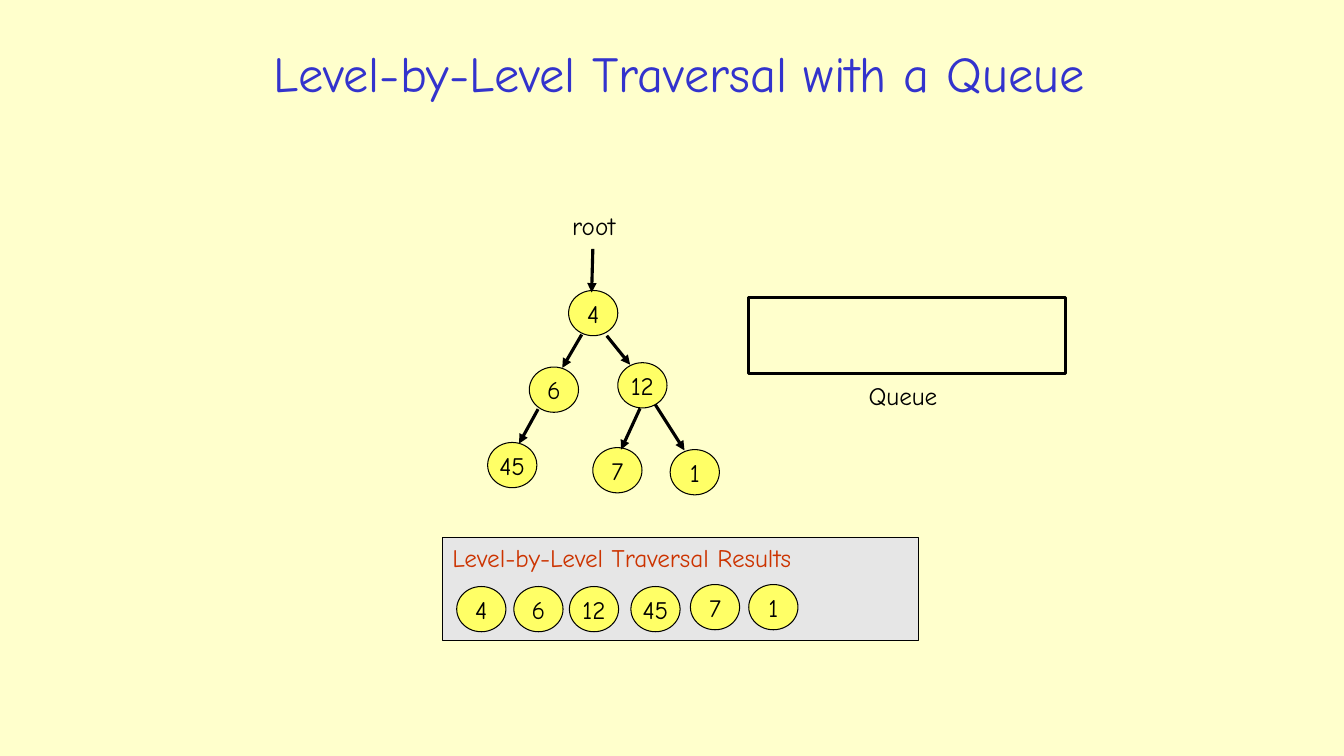
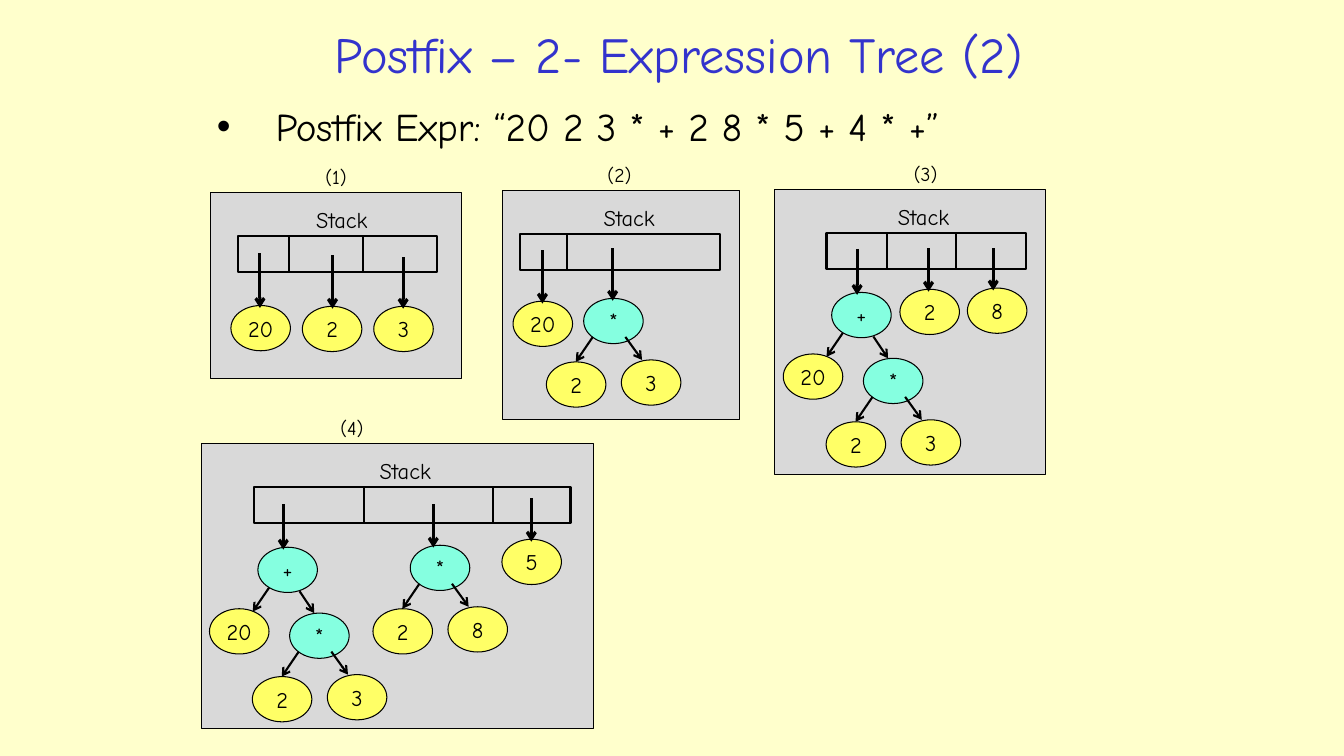
from pptx import Presentation
from pptx.dml.color import RGBColor
from pptx.enum.shapes import MSO_CONNECTOR, MSO_SHAPE
from pptx.enum.text import MSO_ANCHOR, MSO_AUTO_SIZE, PP_ALIGN
from pptx.oxml.ns import qn
from pptx.util import Cm, Pt
from lxml import etree

RECTANGLE, ELLIPSE = MSO_SHAPE.RECTANGLE, MSO_SHAPE.OVAL
STRAIGHT = MSO_CONNECTOR.STRAIGHT
TOP, MIDDLE = MSO_ANCHOR.TOP, MSO_ANCHOR.MIDDLE
LEFT, CENTER = PP_ALIGN.LEFT, PP_ALIGN.CENTER
FIXED, GROW = MSO_AUTO_SIZE.NONE, MSO_AUTO_SIZE.SHAPE_TO_FIT_TEXT
TITLE_LAYOUT, BODY_LAYOUT = 5, 1

FONT = "Comic Neue"
COLORS = {
    "background": "FFFFCC", "title": "3333CC", "ink": "000000",
    "value": "FFFF66", "operator": "85FFE0", "heading": "CC3300",
    "results": "E6E6E6", "panel": "D9D9D9",
}

# Content: all places and sizes are in centimetres
QUEUE_TITLE = "Level-by-Level Traversal with a Queue"
QUEUE_NODE = (1.24, 1.14)
TREE_NODES = [
    ("4", 14.33, 7.32), ("6", 13.34, 9.25), ("12", 15.57, 9.14),
    ("45", 12.29, 11.15), ("7", 14.94, 11.28), ("1", 16.89, 11.33),
]
TREE_ARROWS = [
    ((14.94, 6.27), (14.91, 7.37)),
    ((14.66, 8.43), (14.17, 9.27)), ((15.29, 8.46), (15.88, 9.19)),
    ((13.56, 10.31), (13.08, 11.18)),
    ((16.13, 10.29), (15.65, 11.33)), ((16.51, 10.19), (17.25, 11.35)),
]
QUEUE_LABELS = [("root", 14.17, 5.18, 1.8), ("Queue", 21.64, 9.45, 2.44)]
QUEUE_FRAME = (18.87, 7.49, 7.98, 1.93)
RESULTS_TITLE = "Level-by-Level Traversal Results"
RESULTS_BOX = (11.15, 13.54, 12.01, 2.59)
RESULTS = [
    ("4", 11.51, 14.78), ("6", 12.95, 14.78), ("12", 14.35, 14.78),
    ("45", 15.9, 14.78), ("7", 17.4, 14.73), ("1", 18.87, 14.73),
]

POSTFIX_TITLE = "Postfix – 2- Expression Tree (2)"
POSTFIX_TEXT = "Postfix Expr: “20 2 3 * + 2 8 * 5 + 4 * +”"
POSTFIX_NODE = (1.5, 1.14)
PRODUCT = ("*", "2", "3")
SUM = ("+", "20", PRODUCT)
# Each entry: expression, node place, start of the pointer to it
PANELS = [
    {"number": "(1)", "number_x": 7.95, "box": (5.31, 4.85, 6.33, 4.7),
     "label_x": 7.72, "stack": (5.99, 5.03), "dividers": [7.29, 9.14],
     "entries": [("20", (5.82, 7.7), (6.55, 6.38)),
                 ("2", (7.62, 7.72), (8.38, 6.43)),
                 ("3", (9.42, 7.72), (10.16, 6.48))]},
    {"number": "(2)", "number_x": 15.06, "box": (12.67, 4.8, 5.97, 5.77),
     "label_x": 14.96, "stack": (13.11, 5.03), "dividers": [14.3],
     "entries": [("20", (12.93, 7.59), (13.67, 6.3)),
                 (PRODUCT, (14.71, 7.52), (15.44, 6.25))]},
    {"number": "(3)", "number_x": 22.78, "box": (19.53, 4.78, 6.83, 7.19),
     "label_x": 22.38, "stack": (20.83, 5.03), "dividers": [22.35, 24.1],
     "entries": [(SUM, (20.96, 7.37), (21.6, 6.27)),
                 ("2", (22.68, 7.29), (23.4, 6.25)),
                 ("8", (24.38, 7.26), (25.03, 6.25))]},
    {"number": "(4)", "number_x": 8.33, "box": (5.08, 11.18, 9.88, 7.19),
     "label_x": 9.32, "stack": (6.4, 7.98), "dividers": [9.17, 12.42],
     "entries": [(SUM, (6.5, 13.79), (7.14, 12.7)),
                 (("*", "2", "8"), (10.34, 13.74), (10.92, 12.7)),
                 ("5", (12.65, 13.59), (13.39, 12.55))]},
]
# Offsets from an operator node: child, arrow start, arrow end (left, right)
BRANCHES = {
    "*": [((-0.94, 1.6), (0.23, 0.97), (-0.2, 1.6)),
          ((0.95, 1.55), (1.05, 0.97), (1.47, 1.55))],
    "+": [((-1.22, 1.55), (0.28, 1.02), (-0.13, 1.62)),
          ((0.8, 1.66), (1.05, 1.11), (1.42, 1.66))],
}
# Distances from the top of a panel
NUMBER_RISE, LABEL_DROP, STACK_DROP = 0.83, 0.22, 1.09
STACK_HEIGHT = 0.91
POINTER_OVERLAP = 0.06


def color(name):
    return RGBColor.from_string(COLORS[name])


def shift(point, offset):
    return point[0] + offset[0], point[1] + offset[1]


# Shared parts
def write(frame, text, size, ink="ink", align=LEFT):
    para = frame.paragraphs[0]
    para.alignment = align
    para.space_before = Pt(0)
    span = para.add_run()
    span.text = text
    span.font.name = FONT
    span.font.size = Pt(size)
    span.font.color.rgb = color(ink)
    return para


def place(box, left, top, width, height):
    box.left, box.top = Cm(left), Cm(top)
    box.width, box.height = Cm(width), Cm(height)


def add_page(deck, layout, title, title_height):
    page = deck.slides.add_slide(deck.slide_layouts[layout])
    place(page.shapes.title, 5, 0.38, 24.23, title_height)
    frame = page.shapes.title.text_frame
    frame.auto_size = FIXED
    frame.vertical_anchor = MIDDLE
    write(frame, title, 36, "title", CENTER)
    return page


def add_figure(page, kind, bounds, fill=None, line_width=0.75):
    figure = page.shapes.add_shape(kind, *map(Cm, bounds))
    figure.shadow.inherit = False
    if fill:
        figure.fill.solid()
        figure.fill.fore_color.rgb = color(fill)
    else:
        figure.fill.background()
    figure.line.color.rgb = color("ink")
    figure.line.width = Pt(line_width)
    return figure


def add_node(page, text, place_at, size, text_size):
    fill = "operator" if text in BRANCHES else "value"
    node = add_figure(page, ELLIPSE, (*place_at, *size), fill)
    node.text_frame.word_wrap = False
    node.text_frame.vertical_anchor = MIDDLE
    write(node.text_frame, text, text_size, align=CENTER)


def add_label(page, text, left, top, width, height, size):
    box = page.shapes.add_textbox(*map(Cm, (left, top, width, height)))
    box.text_frame.word_wrap = False
    box.text_frame.auto_size = GROW
    write(box.text_frame, text, size)


def add_line(page, start, end, width, head=None):
    line = page.shapes.add_connector(STRAIGHT, *map(Cm, (*start, *end)))
    line.line.color.rgb = color("ink")
    line.line.width = Pt(width)
    if head:
        outline = line.line._get_or_add_ln()
        etree.SubElement(outline, qn("a:tailEnd"), type=head)
    etree.SubElement(line._element.spPr, qn("a:effectLst"))


# Expression trees and stacks
def add_tree(page, tree, place_at):
    if isinstance(tree, str):
        add_node(page, tree, place_at, POSTFIX_NODE, 16)
        return
    operator, *children = tree
    add_node(page, operator, place_at, POSTFIX_NODE, 16)
    for child, (offset, start, end) in zip(children, BRANCHES[operator]):
        add_tree(page, child, shift(place_at, offset))
        add_line(page, shift(place_at, start), shift(place_at, end), 1.5, "arrow")


def add_panel(page, panel):
    top = panel["box"][1]
    stack_top = top + STACK_DROP
    stack_left, stack_width = panel["stack"]
    add_figure(page, RECTANGLE, panel["box"], "panel")
    add_figure(page, RECTANGLE,
               (stack_left, stack_top, stack_width, STACK_HEIGHT), line_width=1.5)
    add_label(page, "Stack", panel["label_x"], top + LABEL_DROP, 2.08, 0.94, 16)
    add_label(page, panel["number"], panel["number_x"], top - NUMBER_RISE,
              1.17, 0.86, 14)
    for x in panel["dividers"]:
        add_line(page, (x, stack_top), (x, stack_top + STACK_HEIGHT), 1.5)
    for tree, node, start in panel["entries"]:
        add_tree(page, tree, node)
        add_line(page, start, (start[0], node[1] + POINTER_OVERLAP), 2.25, "arrow")


# Slides
def build_queue_page(deck):
    page = add_page(deck, TITLE_LAYOUT, QUEUE_TITLE, 2.9)
    results = add_figure(page, RECTANGLE, RESULTS_BOX, "results")
    results.text_frame.word_wrap = True
    results.text_frame.vertical_anchor = TOP
    write(results.text_frame, RESULTS_TITLE, 18, "heading")
    for text, left, top in TREE_NODES + RESULTS:
        add_node(page, text, (left, top), QUEUE_NODE, 18)
    for start, end in TREE_ARROWS:
        add_line(page, start, end, 2.25, "triangle")
    add_figure(page, RECTANGLE, QUEUE_FRAME, line_width=2)
    for text, left, top, width in QUEUE_LABELS:
        add_label(page, text, left, top, width, 1.02, 18)


def build_postfix_page(deck):
    page = add_page(deck, BODY_LAYOUT, POSTFIX_TITLE, 1.93)
    body = page.placeholders[1]
    place(body, 5.21, 2.46, 23.39, 1.35)
    body.text_frame.auto_size = FIXED
    para = write(body.text_frame, POSTFIX_TEXT, 28)
    properties = para._p.get_or_add_pPr()
    properties.set("marL", str(Cm(1.48)))
    properties.set("indent", str(-Cm(1.48)))
    etree.SubElement(properties, qn("a:buChar"), char="•")
    for panel in PANELS:
        add_panel(page, panel)


def main():
    deck = Presentation()
    deck.slide_width, deck.slide_height = Cm(33.87), Cm(19.05)
    background = deck.slide_master.background.fill
    background.solid()
    background.fore_color.rgb = color("background")
    build_queue_page(deck)
    build_postfix_page(deck)
    deck.save("out.pptx")


if __name__ == "__main__":
    main()
